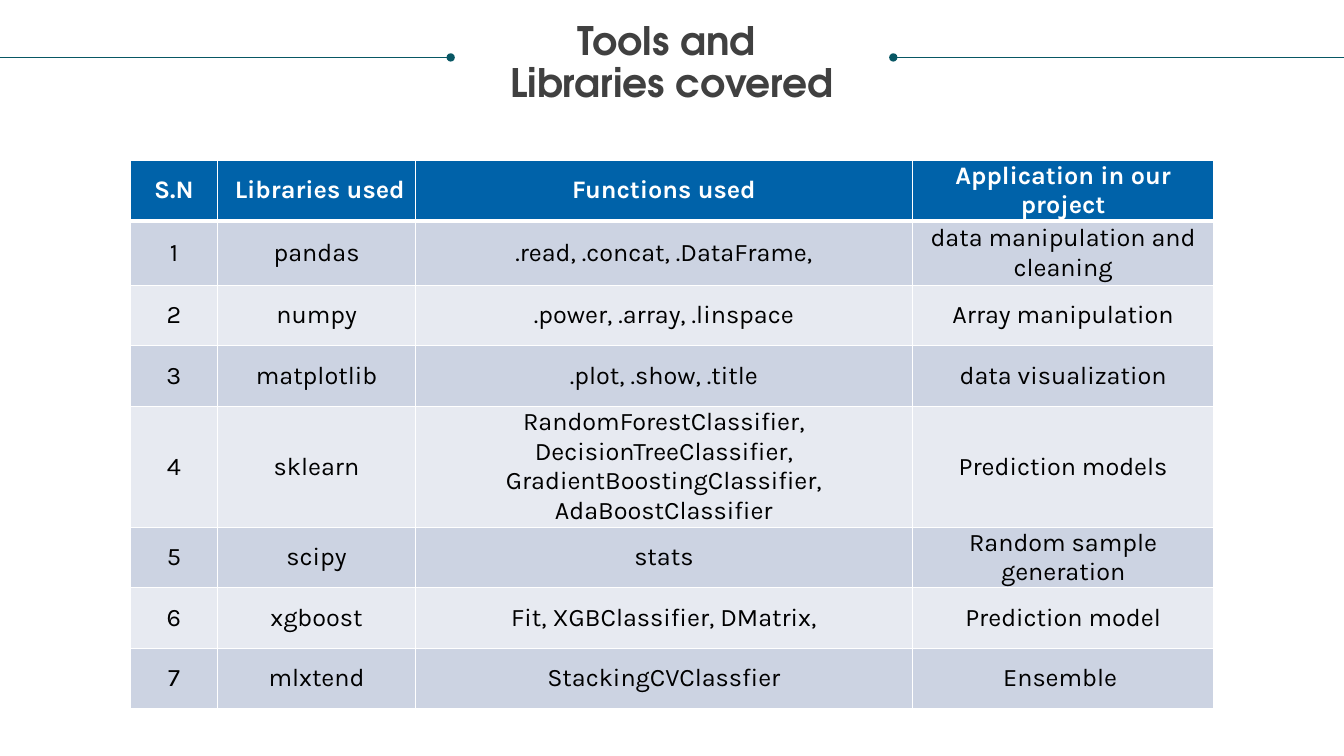
from lxml.etree import SubElement
from pptx import Presentation
from pptx.dml.color import RGBColor
from pptx.enum.shapes import MSO_CONNECTOR as Connector
from pptx.enum.text import MSO_ANCHOR as Anchor, MSO_AUTO_SIZE as AutoSize, PP_ALIGN as Align
from pptx.oxml.ns import qn
from pptx.util import Inches, Pt

TEAL = "085764"
WHITE = "FFFFFF"
HEADER_BLUE = "0062A9"
BANDS = ("CCD3E2", "E7EAF1")
COLUMN_WIDTHS = (0.87, 1.96, 4.93, 2.99)
ROW_HEIGHTS = (0.6, 0.64, 0.6, 0.6, 1.2, 0.6, 0.6, 0.6)
HEADINGS = ("S.N", "\u00a0Libraries used", "Functions used", "Application in our project")
LIBRARIES = (
    ("pandas", ".read, .concat, .DataFrame,", "data manipulation and cleaning"),
    ("numpy", ".power, .array, .linspace", "Array manipulation"),
    ("matplotlib", ".plot, .show, .title", "data visualization"),
    ("sklearn",
     "RandomForestClassifier, DecisionTreeClassifier, "
     "GradientBoostingClassifier, AdaBoostClassifier",
     "Prediction models"),
    ("scipy", "stats", "Random sample generation"),
    ("xgboost", "Fit, XGBClassifier, DMatrix,", "Prediction model"),
    ("mlxtend", "StackingCVClassfier", "Ensemble "),
)


def rgb(value):
    return RGBColor.from_string(value)


def add_run(paragraph, text, size, font, color, bold):
    run = paragraph.add_run()
    run.text = text
    run.font.size = Pt(size)
    run.font.name = font
    run.font.bold = bold
    run.font.color.rgb = rgb(color)


def clear_margins(holder):
    holder.margin_left = holder.margin_right = 0
    holder.margin_top = holder.margin_bottom = 0


def add_title(slide, lines):
    title = slide.shapes.title
    title.left, title.top = Inches(0.25), Inches(0.21)
    title.width, title.height = Inches(12.83), Inches(0.85)
    frame = title.text_frame
    clear_margins(frame)
    frame.word_wrap = True
    frame.auto_size = AutoSize.NONE
    frame.vertical_anchor = Anchor.TOP
    paragraph = frame.paragraphs[0]
    paragraph.alignment = Align.CENTER
    paragraph.line_spacing = 0.9
    paragraph.space_before = Pt(0)
    for index, line in enumerate(lines):
        if index:
            paragraph.add_line_break()
        add_run(paragraph, line, 28, "TeX Gyre Adventor", "404040", True)


def add_title_rule(slide, start, end, dotted_end):
    y = Inches(0.57)
    rule = slide.shapes.add_connector(
        Connector.STRAIGHT, Inches(start), y, Inches(end), y)
    rule.line.color.rgb = rgb(TEAL)
    rule.line.width = Pt(0.5)
    SubElement(rule.line._get_or_add_ln(), qn(f"a:{dotted_end}"), type="oval")
    SubElement(rule._element.spPr, qn("a:effectLst"))


def add_border(cell, side, points):
    border = SubElement(cell._tc.get_or_add_tcPr(), qn(f"a:ln{side}"), w=str(Pt(points)))
    fill = SubElement(border, qn("a:solidFill"))
    SubElement(fill, qn("a:srgbClr"), val=WHITE)


def fill_cell(cell, text, row):
    header = row == 0
    clear_margins(cell)
    cell.vertical_anchor = Anchor.MIDDLE
    widths = {"L": 1, "R": 1, "T": 3 if row == 1 else 1, "B": 3 if header else 1}
    for side, points in widths.items():
        add_border(cell, side, points)
    cell.fill.solid()
    cell.fill.fore_color.rgb = rgb(HEADER_BLUE if header else BANDS[(row - 1) % 2])
    paragraph = cell.text_frame.paragraphs[0]
    paragraph.alignment = Align.CENTER
    add_run(paragraph, text, 18, "Karla", WHITE if header else "000000", header)


def add_library_table(slide):
    entries = [HEADINGS]
    entries += [(str(number), *library) for number, library in enumerate(LIBRARIES, 1)]
    table = slide.shapes.add_table(
        len(entries), len(HEADINGS), Inches(1.29), Inches(1.59),
        Inches(sum(COLUMN_WIDTHS)), Inches(sum(ROW_HEIGHTS))).table
    for column, width in zip(table.columns, COLUMN_WIDTHS):
        column.width = Inches(width)
    for row, height in zip(table.rows, ROW_HEIGHTS):
        row.height = Inches(height)
    for row, entry in enumerate(entries):
        for column, text in enumerate(entry):
            fill_cell(table.cell(row, column), text, row)


def main():
    deck = Presentation()
    deck.slide_width, deck.slide_height = Inches(13.33), Inches(7.5)
    slide = deck.slides.add_slide(deck.slide_layouts[5])
    slide.background.fill.solid()
    slide.background.fill.fore_color.rgb = rgb(WHITE)
    add_title_rule(slide, 8.86, 13.33, "headEnd")
    add_title(slide, ("Tools and ", "Libraries covered"))
    add_title_rule(slide, 0, 4.47, "tailEnd")
    add_library_table(slide)
    deck.save("out.pptx")


main()
